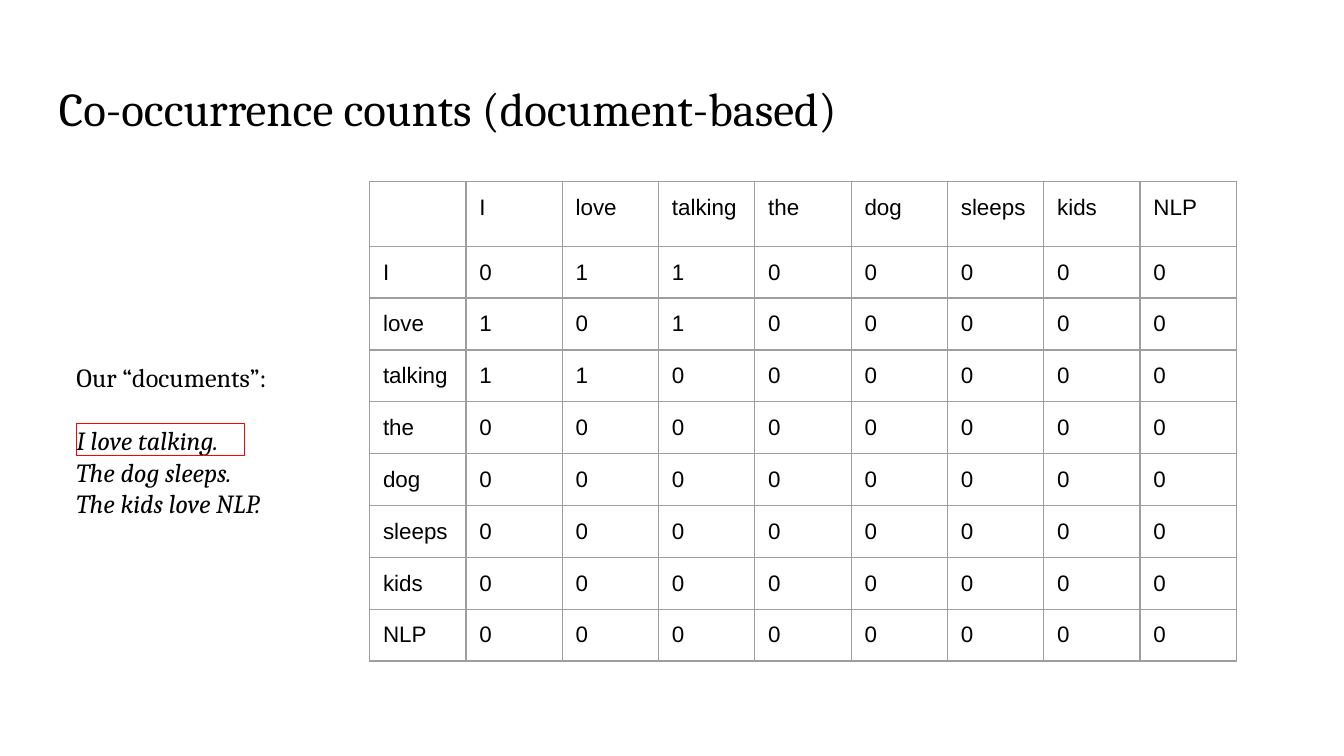
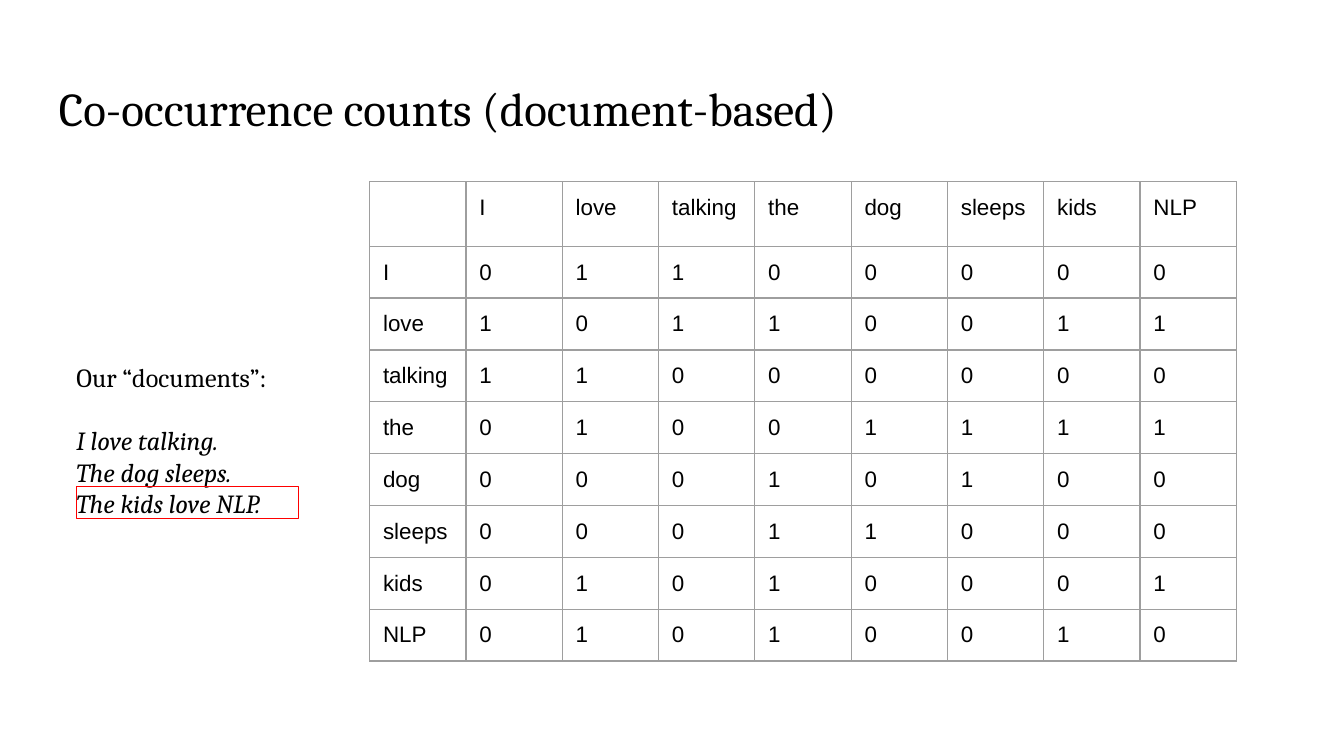
import itertools

import lxml.etree
import pptx
import pptx.dml.color
import pptx.enum.shapes
import pptx.enum.text
import pptx.oxml.ns
import pptx.util

WIDTH = pptx.util.Inches(10)
HEIGHT = pptx.util.Inches(5.625)
INSET = pptx.util.Inches(0.1)
CELL_BOTTOM = pptx.util.Inches(0.08)
LINE_WIDTH = pptx.util.Pt(0.75)

BLACK, RED, GREY = "000000", "FF0000", "9E9E9E"
HEADING_FONT, TABLE_FONT = "Cambria", "Arial"

TITLE = "Co-occurrence counts (document-based)"
INTRO = "Our “documents”:"
DOCUMENTS = ["I love talking.", "The dog sleeps.", "The kids love NLP."]
VOCABULARY = ["I", "love", "talking", "the", "dog", "sleeps", "kids", "NLP"]

HEADER_HEIGHT, ROW_HEIGHT = 8.53, 6.86
DOCUMENT_TOP, DOCUMENT_PITCH = 56, 4.18


def color(value):
    return pptx.dml.color.RGBColor.from_string(value)


def across(percent):
    return round(WIDTH * percent / 100)


def down(percent):
    return round(HEIGHT * percent / 100)


def area(left, top, width, height):
    return across(left), down(top), across(width), down(height)


def set_margins(target, top=INSET, bottom=INSET):
    target.margin_left = target.margin_right = INSET
    target.margin_top = top
    target.margin_bottom = bottom


def style_paragraph(paragraph, size, font, italic=False):
    for run in paragraph.runs:
        run.font.size = pptx.util.Pt(size)
        run.font.name = font
        run.font.italic = italic
        run.font.color.rgb = color(BLACK)


def add_heading(slide, place, lines, size, anchor):
    frame = slide.shapes.add_textbox(*place).text_frame
    frame.word_wrap = True
    frame.vertical_anchor = anchor
    set_margins(frame)
    frame.text = "\n".join(lines)
    for index, paragraph in enumerate(frame.paragraphs):
        paragraph.line_spacing = 1.0
        style_paragraph(paragraph, size, HEADING_FONT, italic=index > 0)
    return frame


def add_documents(slide):
    documents = add_heading(slide, area(4.7, 46.04, 19.4, 28.27), [INTRO] + DOCUMENTS,
                            14, pptx.enum.text.MSO_ANCHOR.TOP)
    documents.paragraphs[0].space_after = pptx.util.Pt(17)


def add_highlight(slide, document_index, width):
    top = DOCUMENT_TOP + DOCUMENT_PITCH * document_index
    highlight = slide.shapes.add_shape(pptx.enum.shapes.MSO_SHAPE.RECTANGLE,
                                       *area(5.7, top, width, 4.27))
    highlight.shadow.inherit = False
    highlight.fill.background()
    highlight.line.color.rgb = color(RED)
    highlight.line.width = LINE_WIDTH


def add_borders(cell):
    qn = pptx.oxml.ns.qn
    properties = cell._tc.get_or_add_tcPr()
    for side in ("a:lnL", "a:lnR", "a:lnT", "a:lnB"):
        border = lxml.etree.SubElement(properties, qn(side), w=str(LINE_WIDTH))
        fill = lxml.etree.SubElement(border, qn("a:solidFill"))
        lxml.etree.SubElement(fill, qn("a:srgbClr"), val=GREY)


def fill_cell(cell, text):
    if text:
        set_margins(cell, bottom=CELL_BOTTOM)
    else:
        set_margins(cell, top=0, bottom=0)
    cell.text = text
    style_paragraph(cell.text_frame.paragraphs[0], 12, TABLE_FONT)
    add_borders(cell)
    cell.fill.background()


def count_cooccurrences(documents):
    counts = {pair: 0 for pair in itertools.product(VOCABULARY, repeat=2)}
    for document in documents:
        words = document.rstrip(".").replace("The", "the").split()
        for pair in itertools.permutations(words, 2):
            counts[pair] += 1
    return counts


def add_count_table(slide, documents):
    counts = count_cooccurrences(documents)
    rows = [[""] + VOCABULARY]
    rows += [[word] + [str(counts[word, other]) for other in VOCABULARY]
             for word in VOCABULARY]
    size = len(rows)
    height = HEADER_HEIGHT + ROW_HEIGHT * len(VOCABULARY)
    matrix = slide.shapes.add_table(size, size, *area(27.5, 24.04, 64.5, height)).table
    matrix.first_row = matrix.horz_banding = False
    for index, row in enumerate(matrix.rows):
        row.height = down(ROW_HEIGHT if index else HEADER_HEIGHT)
    for row_index, values in enumerate(rows):
        for column_index, value in enumerate(values):
            fill_cell(matrix.cell(row_index, column_index), value)


def add_count_slide(deck, document_index, highlight_width):
    slide = deck.slides.add_slide(deck.slide_layouts[6])
    add_heading(slide, area(3.4, 8.71, 93.2, 11.2), [TITLE], 25.2,
                pptx.enum.text.MSO_ANCHOR.MIDDLE)
    add_documents(slide)
    add_highlight(slide, document_index, highlight_width)
    add_count_table(slide, DOCUMENTS[:document_index + 1])


def main():
    deck = pptx.Presentation()
    deck.slide_width, deck.slide_height = WIDTH, HEIGHT
    add_count_slide(deck, 0, 12.5)
    add_count_slide(deck, 2, 16.5)
    deck.save("out.pptx")


if __name__ == "__main__":
    main()
